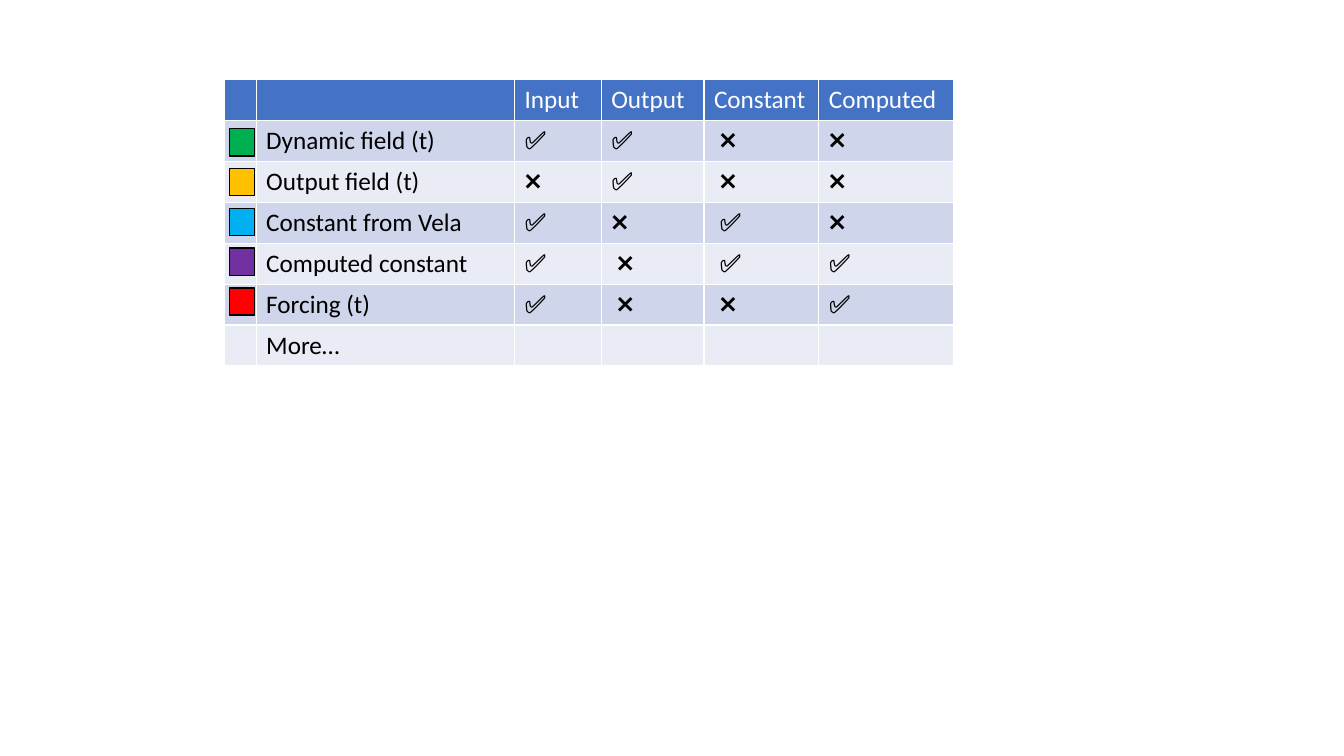
"""Build a slide with a table of field kinds and their colour keys."""
from dataclasses import dataclass

from lxml.etree import SubElement
from pptx import Presentation
from pptx.dml.color import RGBColor as RGB
from pptx.enum.shapes import MSO_SHAPE as Shape
from pptx.oxml.ns import qn
from pptx.slide import Slide
from pptx.table import _Cell as Cell
from pptx.util import Pt


@dataclass(frozen=True)
class Theme:
    font: str = "Calibri"
    size: float = 18
    white: str = "FFFFFF"
    black: str = "000000"
    header: str = "4472C4"
    bands: tuple[str, str] = ("CFD5EA", "E9EBF5")
    line: float = 1


@dataclass(frozen=True)
class Field:
    name: str
    marks: tuple[str, ...] = ("", "", "", "")
    key: str = ""


THEME = Theme()
HEADINGS = ("", "", "Input", "Output", "Constant", "Computed")
FIELDS = (
    Field("Dynamic field (t)", ("✅", "✅", " ❌", "❌"), "00B050"),
    Field("Output field (t)", ("❌", "✅", " ❌", "❌"), "FFC000"),
    Field("Constant from Vela", ("✅", "❌", " ✅", "❌"), "00B0F0"),
    Field("Computed constant", ("✅", " ❌", " ✅", "✅"), "7030A0"),
    Field("Forcing (t)", ("✅", " ❌", " ❌", "✅"), "FF0000"),
    Field("More…"),
)
LEFT, TOP, ROW_HEIGHT = 160, 57, 29.15
COL_WIDTHS = (23, 184.6, 61.9, 73.4, 82.1, 96.2)
KEY_LEFT, KEY_TOP, KEY_PITCH = 164, 92, 28.44
KEY_WIDTH, KEY_HEIGHT = 18, 19.4


def set_borders(cell: Cell) -> None:
    tc_pr = cell._tc.get_or_add_tcPr()
    for i, tag in enumerate(("a:lnL", "a:lnR", "a:lnT", "a:lnB")):
        ln = SubElement(tc_pr, qn(tag), w=str(Pt(THEME.line)))
        fill = SubElement(ln, qn("a:solidFill"))
        SubElement(fill, qn("a:srgbClr"), val=THEME.white)
        tc_pr.insert(i, ln)


def fill_cell(cell: Cell, text: str, fill: str, color: str) -> None:
    cell.fill.solid()
    cell.fill.fore_color.rgb = RGB.from_string(fill)
    set_borders(cell)
    p = cell.text_frame.paragraphs[0]
    p.font.size = Pt(THEME.size)
    if text:
        r = p.add_run()
        r.text = text
        r.font.name = THEME.font
        r.font.size = Pt(THEME.size)
        r.font.bold = False
        r.font.color.rgb = RGB.from_string(color)


def add_field_table(s: Slide) -> None:
    rows = [HEADINGS] + [("", field.name, *field.marks) for field in FIELDS]
    table = s.shapes.add_table(
        len(rows), len(COL_WIDTHS), Pt(LEFT), Pt(TOP),
        Pt(sum(COL_WIDTHS)), Pt(ROW_HEIGHT * len(rows)),
    ).table
    for column, width in zip(table.columns, COL_WIDTHS):
        column.width = Pt(width)
    for i, texts in enumerate(rows):
        table.rows[i].height = Pt(ROW_HEIGHT)
        if i == 0:
            fill, color = THEME.header, THEME.white
        else:
            fill, color = THEME.bands[(i - 1) % 2], THEME.black
        for j, text in enumerate(texts):
            fill_cell(table.cell(i, j), text, fill, color)


def add_keys(s: Slide) -> None:
    group = s.shapes.add_group_shape()
    for i, field in enumerate(FIELDS):
        if field.key:
            sp = group.shapes.add_shape(
                Shape.RECTANGLE, Pt(KEY_LEFT), Pt(KEY_TOP + i * KEY_PITCH),
                Pt(KEY_WIDTH), Pt(KEY_HEIGHT),
            )
            sp.shadow.inherit = False
            sp.fill.solid()
            sp.fill.fore_color.rgb = RGB.from_string(field.key)
            sp.line.color.rgb = RGB.from_string(THEME.black)
            sp.line.width = Pt(THEME.line)


def main() -> None:
    prs = Presentation()
    prs.slide_width, prs.slide_height = Pt(960), Pt(540)
    s = prs.slides.add_slide(prs.slide_layouts[6])
    add_field_table(s)
    add_keys(s)
    prs.save("out.pptx")


if __name__ == "__main__":
    main()
